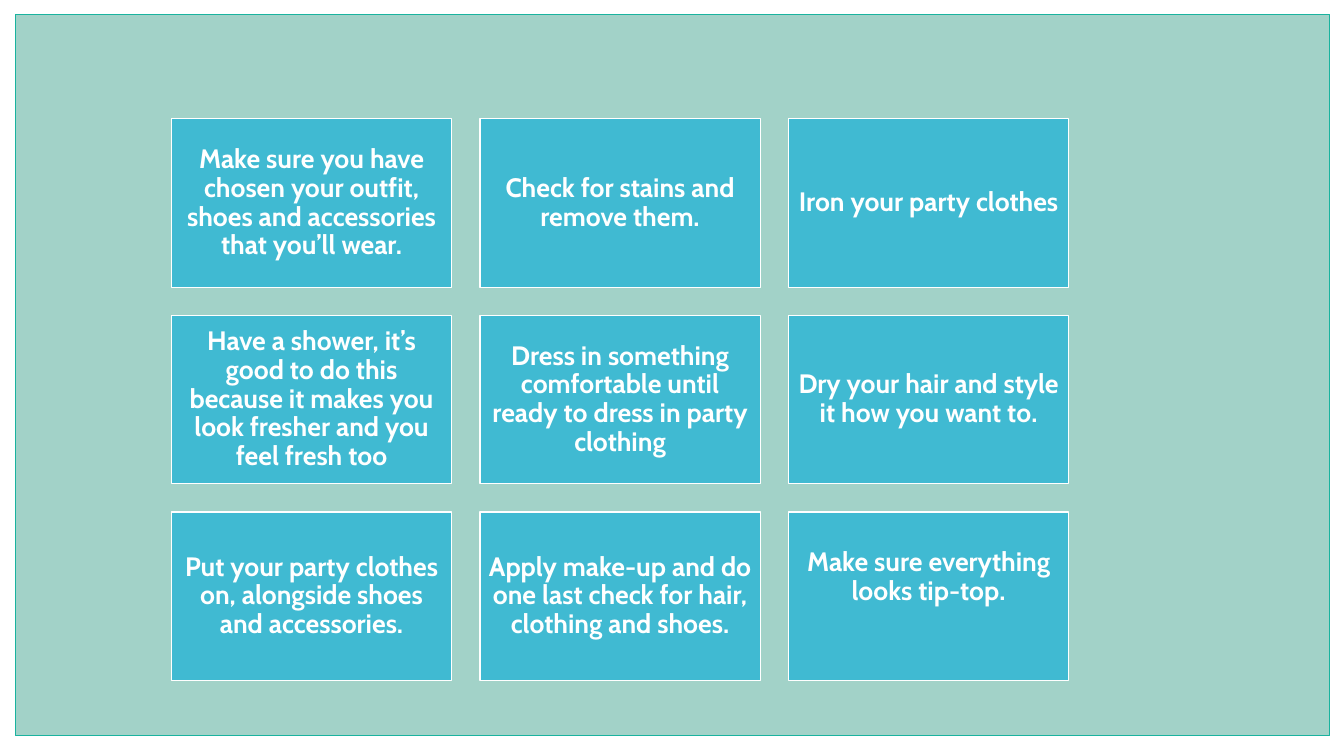
from pptx import Presentation
from pptx.dml.color import RGBColor as Rgb
from pptx.enum.shapes import MSO_SHAPE as Shape
from pptx.enum.text import MSO_ANCHOR as Anchor, PP_ALIGN as Align
from pptx.util import Inches, Pt

STEPS = [
    "Make sure you have chosen your outfit, shoes and accessories that you’ll wear.",
    "Check for stains and remove them.",
    "Iron your party clothes",
    "Have a shower, it’s good to do this because it makes you look fresher and you feel fresh too",
    "Dress in something comfortable until ready to dress in party clothing",
    "Dry your hair and style it how you want to.",
    "Put your party clothes on, alongside shoes and accessories.",
    "Apply make-up and do one last check for hair, clothing and shoes.",
    "Make sure everything looks tip-top.",
]
COLORS = {"panel": "A2D2C8", "edge": "1AB39F", "card": "40BAD2", "white": "FFFFFF"}
COLS = 3
LEFT, TOP = 1.7, 1.18
WIDE, HIGH = 2.78, 1.67
GAP = 0.28
PAD = 0.08
LIFT = 0.38


def color(name):
    return Rgb.from_string(COLORS[name])


def add_box(slide, left, top, wide, high, fill, line, weight):
    box = slide.shapes.add_shape(
        Shape.RECTANGLE, Inches(left), Inches(top), Inches(wide), Inches(high))
    box.shadow.inherit = False
    box.fill.solid()
    box.fill.fore_color.rgb = color(fill)
    box.line.color.rgb = color(line)
    box.line.width = Pt(weight)
    return box


def put_text(box, text, size=19, font="Cabin", bold=True, ink="white", lift=0):
    frame = box.text_frame
    frame.word_wrap = True
    frame.vertical_anchor = Anchor.MIDDLE
    frame.margin_left = frame.margin_right = frame.margin_top = Inches(PAD)
    frame.margin_bottom = Inches(PAD + lift)
    para = frame.paragraphs[0]
    para.alignment = Align.CENTER
    para.line_spacing = 0.9
    run = para.add_run()
    run.text = text
    run.font.size = Pt(size)
    run.font.name = font
    run.font.bold = bold
    run.font.color.rgb = color(ink)


def main():
    deck = Presentation()
    deck.slide_width, deck.slide_height = Inches(13.33), Inches(7.5)
    slide = deck.slides.add_slide(deck.slide_layouts[6])
    add_box(slide, 0.15, 0.14, 13.04, 7.16, "panel", "edge", 0.75)
    for i, step in enumerate(STEPS):
        row, col = divmod(i, COLS)
        card = add_box(slide, LEFT + col * (WIDE + GAP), TOP + row * (HIGH + GAP),
                       WIDE, HIGH, "card", "white", 0.85)
        put_text(card, step, lift=LIFT if step == STEPS[-1] else 0)
    deck.save("out.pptx")


if __name__ == "__main__":
    main()
